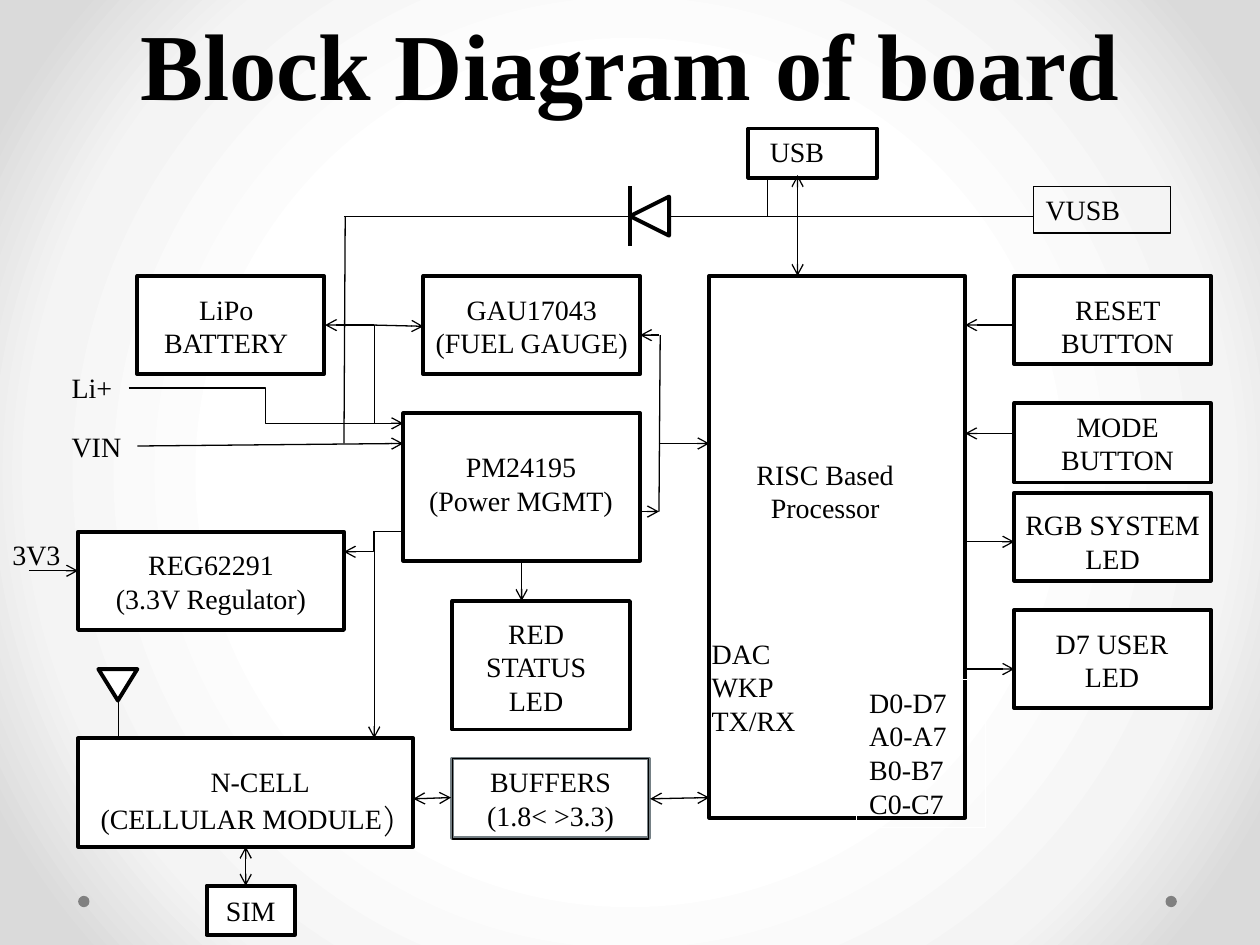
from dataclasses import dataclass
from typing import NamedTuple

from lxml.etree import SubElement
from pptx import Presentation
from pptx.dml.color import RGBColor
from pptx.enum.shapes import MSO_CONNECTOR as Link, MSO_SHAPE as Preset
from pptx.enum.text import MSO_ANCHOR as Anchor, MSO_AUTO_SIZE as AutoSize, PP_ALIGN as Align
from pptx.oxml.ns import qn
from pptx.util import Pt

PX = 9144  # 100 px to the inch


@dataclass(frozen=True)
class Theme:
    font: str = "Times New Roman"
    symbol_font: str = "TeX Gyre Pagella"
    ink: str = "000000"
    paper: str = "FFFFFF"
    dot: str = "808080"
    buffer_edge: str = "758085"
    backdrop: tuple = ((50, "FFFFFF"), (76, "F4F4F4"), (92, "DADADA"))
    title_size: int = 54
    body_size: int = 16
    symbol_size: int = 18
    thin: float = 0.75
    thick: float = 2.25


THEME = Theme()


class Block(NamedTuple):
    left: int
    top: int
    width: int
    height: int
    edge: str = THEME.ink
    preset: Preset = Preset.RECTANGLE
    rotation: int = 0
    filled: bool = True


class Label(NamedTuple):
    text: str
    left: int
    top: int
    width: int
    height: int
    align: Align = Align.CENTER
    edge: str | None = None
    margin_top: int = 5
    margin_right: int = 10


class Wire(NamedTuple):
    x1: int
    y1: int
    x2: int
    y2: int
    arrows: str = ""  # "tail" ends in an arrow, "both" has one at each end
    kind: Link = Link.STRAIGHT
    weight: float = THEME.thin


BLOCKS = [
    Block(563, 219, 203, 430, filled=False),
    *(Block(805, top, 156, height)
      for top, height in ((219, 70), (320, 63), (391, 70), (484, 78))),
    Block(594, 102, 102, 39),
    Block(336, 219, 172, 78),
    Block(320, 328, 188, 117),
    Block(359, 477, 141, 102),
    Block(359, 602, 156, 63, THEME.buffer_edge),
    Block(109, 219, 148, 78),
    Block(62, 422, 211, 78),
    Block(62, 586, 266, 86),
    Block(164, 703, 70, 39),
    Block(78, 531, 31, 25, preset=Preset.ISOSCELES_TRIANGLE, rotation=180),
    Block(500, 156, 31, 31, preset=Preset.ISOSCELES_TRIANGLE, rotation=270),
]

LABELS = [
    Label("SIM", 164, 704, 70, 37),
    Label("RISC Based Processor", 570, 305, 180, 118, margin_top=58, margin_right=20),
    Label("GAU17043\n(FUEL GAUGE)", 328, 227, 188, 64),
    Label("PM24195\n(Power MGMT)", 312, 352, 203, 64),
    Label("RED STATUS LED", 359, 484, 133, 91),
    Label("BUFFERS\n(1.8< >3.3)", 359, 602, 156, 64, edge=THEME.ink),
    Label("REG62291\n(3.3V Regulator)", 62, 430, 211, 64),
    Label("LiPo\nBATTERY", 109, 227, 141, 64),
    Label("USB", 578, 102, 109, 37),
    Label("RESET BUTTON", 813, 227, 148, 64),
    Label("MODE\nBUTTON", 805, 320, 164, 64),
    Label("RGB SYSTEM LED", 789, 398, 188, 64),
    Label("D7 USER LED", 828, 492, 109, 64, edge=THEME.paper),
    Label("Li+", 47, 289, 55, 37, Align.LEFT),
    Label("VIN", 47, 336, 62, 37, Align.LEFT),
    Label("3V3", 0, 422, 86, 37, Align.LEFT),
    Label("VUSB", 820, 148, 109, 37, Align.LEFT, THEME.ink),
    Label("D0-D7\nA0-A7\nB0-B7\nC0-C7", 680, 539, 102, 118, Align.LEFT, THEME.paper),
    Label("DAC\nWKP\nTX/RX", 555, 500, 94, 91, Align.LEFT),
]

WIRES = [
    # Supply inputs and regulator
    Wire(102, 308, 320, 336, "tail", Link.ELBOW),
    Wire(109, 354, 320, 352, "tail"),
    Wire(320, 422, 273, 438, "tail", Link.ELBOW),
    Wire(297, 422, 297, 586, "tail"),
    Wire(23, 453, 62, 453, "tail"),
    # Antenna, SIM and buffers
    Wire(94, 555, 94, 586),
    Wire(195, 672, 195, 703, "both"),
    Wire(328, 634, 358, 633, "both"),
    Wire(516, 634, 563, 633, "both"),
    # USB supply through the diode
    Wire(500, 148, 500, 195, weight=THEME.thick),
    Wire(273, 172, 500, 172),
    Wire(531, 172, 820, 172),
    Wire(274, 172, 273, 352),
    Wire(609, 141, 609, 172),
    Wire(633, 139, 633, 219, "both"),
    # Battery, fuel gauge and power management
    Wire(297, 258, 336, 259, "tail"),
    Wire(297, 258, 297, 336),
    Wire(297, 258, 258, 258, "tail"),
    Wire(414, 445, 414, 477, "tail"),
    Wire(523, 266, 508, 266, "tail"),
    Wire(508, 406, 523, 406, "tail"),
    Wire(524, 266, 523, 406),
    Wire(523, 352, 563, 352, "tail"),
    # Buttons and indicator lights
    *(Wire(805, y, 766, y, "tail") for y in (258, 344)),
    *(Wire(766, y, 805, y, "tail") for y in (430, 531)),
]


def color(value: str) -> RGBColor:
    return RGBColor.from_string(value)


def emu(*lengths: int) -> list[int]:
    return [length * PX for length in lengths]


def write(paragraph, text: str, *, size: int = THEME.body_size, font: str = THEME.font,
          bold: bool = False, align: Align = Align.CENTER) -> None:
    """Append a formatted run to the paragraph."""
    paragraph.alignment = align
    run = paragraph.add_run()
    run.text = text
    run.font.size, run.font.name, run.font.bold = Pt(size), font, bold
    run.font.color.rgb = color(THEME.ink)


def paint_background(slide) -> None:
    slide.background.fill.gradient()
    gradient = slide.element.find(".//" + qn("a:gradFill"))
    for child in list(gradient):
        gradient.remove(child)
    stops = SubElement(gradient, qn("a:gsLst"))
    for position, value in THEME.backdrop:
        stop = SubElement(stops, qn("a:gs"), pos=str(position * 1000))
        SubElement(stop, qn("a:srgbClr"), val=value)
    spread = SubElement(gradient, qn("a:path"), path="circle")
    SubElement(spread, qn("a:fillToRect"), {side: "50000" for side in "ltrb"})


def draw_dot(slide, left: int) -> None:
    shape = slide.shapes.add_shape(Preset.OVAL, *emu(left, 711, 9, 9))
    shape.shadow.inherit = False
    shape.fill.solid()
    shape.fill.fore_color.rgb = color(THEME.dot)
    shape.line.fill.background()


def draw_block(slide, block: Block) -> None:
    shape = slide.shapes.add_shape(
        block.preset, *emu(block.left, block.top, block.width, block.height))
    shape.shadow.inherit = False
    shape.rotation = block.rotation
    if block.filled:
        shape.fill.solid()
        shape.fill.fore_color.rgb = color(THEME.paper)
    else:
        shape.fill.background()
    shape.line.color.rgb = color(block.edge)
    shape.line.width = Pt(THEME.thick)


def draw_label(slide, label: Label):
    shape = slide.shapes.add_textbox(*emu(label.left, label.top, label.width, label.height))
    if label.edge:
        shape.line.color.rgb = color(label.edge)
        shape.line.width = Pt(THEME.thin)
    frame = shape.text_frame
    frame.word_wrap = True
    frame.margin_top, frame.margin_right = emu(label.margin_top, label.margin_right)
    for index, line in enumerate(label.text.split("\n")):
        paragraph = frame.add_paragraph() if index else frame.paragraphs[0]
        write(paragraph, line, align=label.align)
    return frame


def draw_wire(slide, wire: Wire) -> None:
    connector = slide.shapes.add_connector(
        wire.kind, *emu(wire.x1, wire.y1, wire.x2, wire.y2))
    connector.line.color.rgb = color(THEME.ink)
    connector.line.width = Pt(wire.weight)
    properties = connector.element.spPr
    outline = properties.find(qn("a:ln"))
    if wire.arrows == "both":
        SubElement(outline, qn("a:headEnd"), type="arrow")
    if wire.arrows:
        SubElement(outline, qn("a:tailEnd"), type="arrow")
    SubElement(properties, qn("a:effectLst"))


def main() -> None:
    presentation = Presentation()
    presentation.slide_width, presentation.slide_height = emu(1000, 750)
    slide = presentation.slides.add_slide(presentation.slide_layouts[5])
    paint_background(slide)

    title = slide.shapes.title
    title.left, title.top, title.width, title.height = emu(0, 0, 1000, 101)
    title.text_frame.auto_size = AutoSize.NONE
    title.text_frame.vertical_anchor = Anchor.TOP
    write(title.text_frame.paragraphs[0], "Block Diagram of board",
          size=THEME.title_size, bold=True)

    for left in (62, 925):
        draw_dot(slide, left)
    for block in BLOCKS:
        draw_block(slide, block)
    for label in LABELS:
        draw_label(slide, label)

    cellular = draw_label(slide, Label("N-CELL", 70, 602, 273, 67))
    module = cellular.add_paragraph()
    write(module, "(CELLULAR MODULE", align=Align.LEFT)
    write(module, ")", size=THEME.symbol_size, font=THEME.symbol_font, align=Align.LEFT)

    for wire in WIRES:
        draw_wire(slide, wire)
    presentation.save("out.pptx")


if __name__ == "__main__":
    main()
